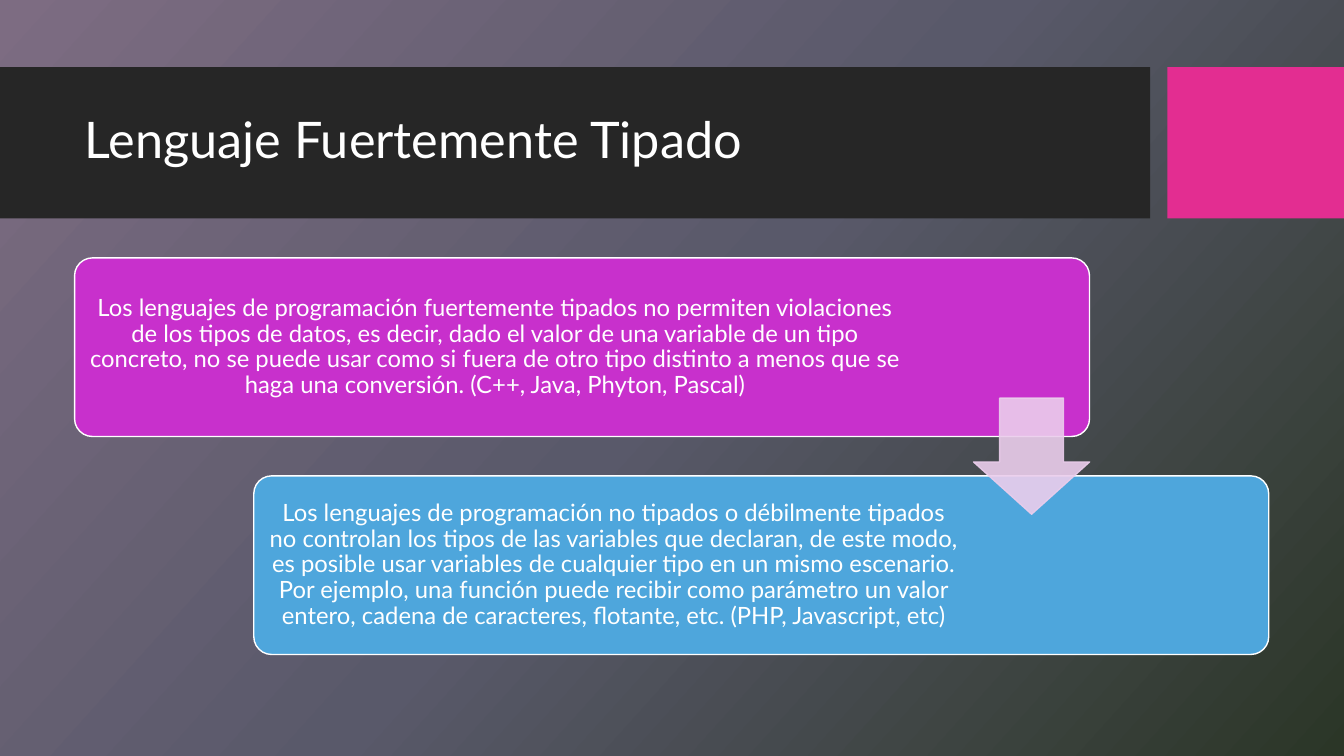
from copy import deepcopy
from dataclasses import dataclass

from lxml.etree import SubElement
from pptx import Presentation
from pptx.dml.color import RGBColor
from pptx.enum.shapes import MSO_SHAPE
from pptx.enum.text import MSO_ANCHOR, PP_ALIGN
from pptx.oxml.ns import qn
from pptx.shapes.autoshape import Shape
from pptx.slide import Slide
from pptx.text.text import TextFrame
from pptx.util import Pt


@dataclass(frozen=True)
class Theme:
    font: str = "Lato"
    title_size: float = 36
    card_size: float = 17
    text: str = "FFFFFF"
    banner: str = "262626"
    accent: str = "E32D91"
    arrow: str = "EBCDEC"
    arrow_opacity: int = 90
    gradient: tuple[tuple[float, str], ...] = (
        (0, "7D6C82"), (0.5, "59596A"), (1, "2B3627"))
    gradient_angle: float = 42


@dataclass(frozen=True)
class Box:
    left: float
    top: float
    width: float
    height: float

    def points(self) -> tuple[Pt, Pt, Pt, Pt]:
        return Pt(self.left), Pt(self.top), Pt(self.width), Pt(self.height)


@dataclass(frozen=True)
class Card:
    fill: str
    text_width: float
    text: str


THEME = Theme()
BANNERS = (
    (Box(0, 48, 821.6, 108), THEME.banner),
    (Box(833.8, 48, 126.2, 108), THEME.accent),
)
TITLE_BOX = Box(53.3, 59, 756.7, 85)
CARDS = (
    Card("C830CC", 593.3,
         "Los lenguajes de programación fuertemente tipados no permiten "
         "violaciones de los tipos de datos, es decir, dado el valor de una "
         "variable de un tipo concreto, no se puede usar como si fuera de otro "
         "tipo distinto a menos que se haga una conversión. "
         "(C++, Java, Phyton, Pascal)"),
    Card("4EA6DC", 506.9,
         "Los lenguajes de programación no tipados o débilmente tipados no "
         "controlan los tipos de las variables que declaran, de este modo, es "
         "posible usar variables de cualquier tipo en un mismo escenario. Por "
         "ejemplo, una función puede recibir como parámetro un valor entero, "
         "cadena de caracteres, flotante, etc. (PHP, Javascript, etc)"),
)
FIRST_CARD = Box(53.3, 184.2, 725, 127.6)
CARD_STEP_X, CARD_STEP_Y = 128, 155.7
CARD_PADDING = 3.7
TEXT_INSET = 5.1
ARROW_SIZE = 82.9


def paint_background(slide: Slide) -> None:
    fill = slide.background.fill
    fill.gradient()
    # python-pptx measures the angle anticlockwise
    fill.gradient_angle = 360 - THEME.gradient_angle
    stop_list = slide.element.find(".//" + qn("a:gsLst"))
    stop_list.append(deepcopy(stop_list[-1]))
    for stop, (position, color) in zip(fill.gradient_stops, THEME.gradient):
        stop.position = position
        stop.color.rgb = RGBColor.from_string(color)


def add_block(slide: Slide, kind: MSO_SHAPE, box: Box, fill: str,
              outline: str | None = None) -> Shape:
    block = slide.shapes.add_shape(kind, *box.points())
    block.shadow.inherit = False
    block.fill.solid()
    block.fill.fore_color.rgb = RGBColor.from_string(fill)
    if outline:
        block.line.color.rgb = RGBColor.from_string(outline)
        block.line.width = Pt(1)
    else:
        block.line.fill.background()
    return block


def write(frame: TextFrame, text: str, size: float, align: PP_ALIGN) -> None:
    frame.word_wrap = True
    frame.vertical_anchor = MSO_ANCHOR.MIDDLE
    paragraph = frame.paragraphs[0]
    paragraph.alignment = align
    paragraph.line_spacing = 0.9
    run = paragraph.add_run()
    run.text = text
    run.font.name = THEME.font
    run.font.size = Pt(size)
    run.font.color.rgb = RGBColor.from_string(THEME.text)


def add_title(slide: Slide) -> None:
    title = slide.shapes.title
    title.left, title.top, title.width, title.height = TITLE_BOX.points()
    write(title.text_frame, "Lenguaje Fuertemente Tipado",
          THEME.title_size, PP_ALIGN.LEFT)
    # Bring the title in front of the banner
    slide.shapes.element.append(title.element)


def add_card(slide: Slide, card: Card, index: int) -> None:
    left = FIRST_CARD.left + index * CARD_STEP_X
    top = FIRST_CARD.top + index * CARD_STEP_Y
    panel = add_block(slide, MSO_SHAPE.ROUNDED_RECTANGLE,
                      Box(left, top, FIRST_CARD.width, FIRST_CARD.height),
                      card.fill, THEME.text)
    panel.adjustments[0] = 0.1
    text_box = Box(left + CARD_PADDING, top + CARD_PADDING, card.text_width,
                   FIRST_CARD.height - 2 * CARD_PADDING)
    frame = slide.shapes.add_textbox(*text_box.points()).text_frame
    frame.margin_left = frame.margin_right = Pt(TEXT_INSET)
    frame.margin_top = frame.margin_bottom = Pt(TEXT_INSET)
    write(frame, card.text, THEME.card_size, PP_ALIGN.CENTER)


def add_arrow(slide: Slide) -> None:
    """Centre a translucent arrow on the gap, flush with the first card."""
    middle = FIRST_CARD.top + (CARD_STEP_Y + FIRST_CARD.height) / 2
    box = Box(FIRST_CARD.left + FIRST_CARD.width - ARROW_SIZE,
              middle - ARROW_SIZE / 2, ARROW_SIZE, ARROW_SIZE)
    arrow = add_block(slide, MSO_SHAPE.DOWN_ARROW, box, THEME.arrow, THEME.arrow)
    arrow.adjustments[0] = 0.55
    arrow.adjustments[1] = 0.45
    for color in arrow.element.spPr.iter(qn("a:srgbClr")):
        SubElement(color, qn("a:alpha"), val=str(THEME.arrow_opacity * 1000))


def main() -> None:
    deck = Presentation()
    deck.slide_width, deck.slide_height = Pt(960), Pt(540)
    slide = deck.slides.add_slide(deck.slide_layouts.get_by_name("Title Only"))
    paint_background(slide)
    for box, color in BANNERS:
        add_block(slide, MSO_SHAPE.RECTANGLE, box, color)
    add_title(slide)
    for index, card in enumerate(CARDS):
        add_card(slide, card, index)
    add_arrow(slide)
    deck.save("out.pptx")


if __name__ == "__main__":
    main()
